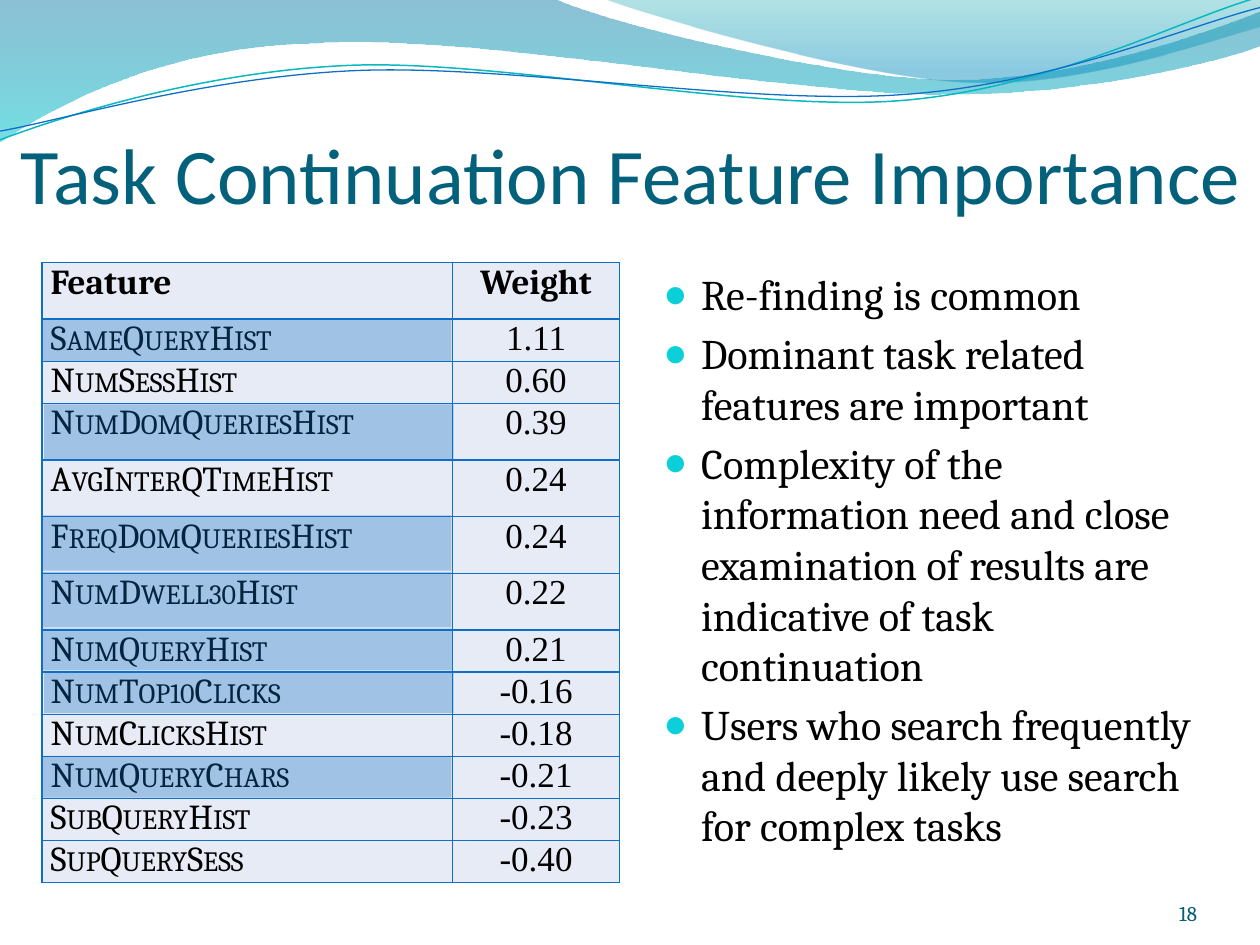
from dataclasses import dataclass

from lxml.etree import SubElement
from pptx import Presentation
from pptx.dml.color import RGBColor
from pptx.enum.shapes import MSO_SHAPE as Preset
from pptx.enum.text import MSO_ANCHOR as Anchor, PP_ALIGN as Align
from pptx.oxml.ns import qn
from pptx.util import Pt


@dataclass(frozen=True)
class Theme:
    """Colours, fonts and type sizes of the deck."""
    title_color: str = "04617B"
    text_color: str = "000000"
    number_color: str = "045D75"
    bullet_color: str = "0BD0D9"
    accent: str = "0F6FC6"
    teal: str = "0AB8BF"
    cell: str = "E7EBF5"
    heading_font: str = "Calibri"
    body_font: str = "Cambria"
    figure_font: str = "Times New Roman"
    title_size: float = 45
    body_size: float = 24.1
    table_size: float = 20
    number_size: float = 12


@dataclass(frozen=True)
class Box:
    """A region of the page, in points."""
    left: float
    top: float
    width: float
    height: float

    def lengths(self):
        """Return the four measures as lengths."""
        return [Pt(v) for v in (self.left, self.top, self.width, self.height)]


THEME = Theme()

# Outlines: a pair is a straight step, three pairs are a Bezier step.
# Gradients: position, colour, opacity in percent.
WAVE_FILLS = [
    ([[(0, 0)], [(316.8, -0.7)],
      [(342.7, 12.2), (478.1, 45.4), (545.8, 45.4)],
      [(614.2, 45.4), (689.8, 18.7), (720, 6.5)], [(720.7, 25.9)],
      [(707.8, 31.7), (626.4, 54.7), (537.1, 54)],
      [(447.8, 54), (275, 20.2), (185, 24.5)],
      [(92.9, 25.9), (33.1, 59.8), (-0.7, 81.4)]],
     [(0, "0074A1", 45), (1, "00C6CF", 55)]),
    ([[(344.9, -0.7)],
      [(366.5, 7.9), (491, 44.6), (553.7, 46.8)],
      [(616.3, 49.7), (691.9, 23), (720, 15.1)], [(720, 0)]],
     [(0, "00A1A9", 30), (0.8, "008BBF", 45)]),
]
WAVE_LINES = [
    ([[(0, 79.9)],
      [(34.6, 67), (113.8, 41), (199.4, 37.4)],
      [(284.4, 33.8), (427, 64.1), (513.4, 57.6)],
      [(599.8, 51.1), (675.4, 10.8), (718.6, -1.4)]], THEME.teal, 0.85),
    ([[(0, 74.9)],
      [(33.8, 69.1), (118.1, 43.9), (203.8, 40.3)],
      [(290.2, 36.7), (429.8, 60.5), (516.2, 54)],
      [(601.9, 48.2), (677.5, 15.1), (720, 4.3)]], THEME.accent, 0.75),
]
# Feature, weight, row height
FEATURES = [
    ("Feature", "Weight", 32.4), ("SameQueryHist", "1.11", 16),
    ("NumSessHist", "0.60", 16), ("NumDomQueriesHist", "0.39", 32.4),
    ("AvgInterQTimeHist", "0.24", 32.4), ("FreqDomQueriesHist", "0.24", 32.4),
    ("NumDwell30Hist", "0.22", 32.4), ("NumQueryHist", "0.21", 16),
    ("NumTop10Clicks", "-0.16", 16), ("NumClicksHist", "-0.18", 16),
    ("NumQueryChars", "-0.21", 16), ("SubQueryHist", "-0.23", 16),
    ("SupQuerySess", "-0.40", 16),
]
# Left and top within the table, height
HIGHLIGHTS = [
    (1.2, 81.1, 31.7), (0, 144.5, 31.7), (0.5, 209.3, 23.8), (0, 32.9, 23.8),
    (0, 282, 23.8), (1.2, 233.8, 23.8), (0, 176.9, 31.7),
]
FINDINGS = [
    "Re-finding is common",
    "Dominant task related features are important",
    "Complexity of the information need and close examination of results "
    "are indicative of task continuation",
    "Users who search frequently and deeply likely use search for complex tasks",
]


def rgb(color):
    """Turn a hex string into a colour."""
    return RGBColor.from_string(color)


def set_opacity(color_element, percent):
    """Make a colour element partly transparent."""
    SubElement(color_element, qn("a:alpha"), val=str(percent * 1000))


def style_para(para, font, size, color, align=Align.LEFT, bold=False):
    """Format a paragraph and its runs."""
    para.alignment = align
    for span in para.runs:
        span.font.name, span.font.size = font, Pt(size)
        span.font.bold, span.font.color.rgb = bold, rgb(color)


def add_text(page, box, lines, insets, anchor=Anchor.TOP):
    """Add a wrapping text box and return its paragraphs."""
    frame = page.shapes.add_textbox(*box.lengths()).text_frame
    frame.word_wrap, frame.vertical_anchor = True, anchor
    (frame.margin_left, frame.margin_top,
     frame.margin_right, frame.margin_bottom) = [Pt(v) for v in insets]
    frame.text = "\n".join(lines)
    return frame.paragraphs


def add_outline(page, box, steps, close):
    """Draw one outline of straight and Bezier steps from the corner of the box."""
    start, *rest = [(Pt(box.left + x), Pt(box.top + y)) for step in steps for x, y in step]
    builder = page.shapes.build_freeform(*start)
    builder.add_line_segments(rest, close=close)
    shape = builder.convert_to_shape()
    shape.shadow.inherit = False
    segments = iter(shape.element.spPr.findall(".//" + qn("a:lnTo")))
    for step in steps[1:]:
        first, *others = [next(segments) for _ in step]
        if others:
            first.tag = qn("a:cubicBezTo")
        for segment in others:
            first.append(segment[0])
            segment.getparent().remove(segment)
    return shape


def add_waves(page, box):
    """Draw the wavy banner."""
    for steps, stops in WAVE_FILLS:
        wave = add_outline(page, box, steps, True)
        wave.line.fill.background()
        wave.fill.gradient()
        wave.fill.gradient_angle = 270
        for stop, (position, color, opacity) in zip(wave.fill.gradient_stops, stops):
            stop.position, stop.color.rgb = position, rgb(color)
        colors = wave.element.spPr.findall(".//" + qn("a:gs") + "/" + qn("a:srgbClr"))
        for color, stop in zip(colors, stops):
            set_opacity(color, stop[2])
    for steps, color, width in WAVE_LINES:
        curve = add_outline(page, box, steps, False)
        curve.fill.background()
        curve.line.color.rgb, curve.line.width = rgb(color), Pt(width)


def add_title(page, box, text):
    """Write the page title."""
    para = add_text(page, box, [text], (0, 3.6, 0, 0), Anchor.BOTTOM)[0]
    style_para(para, THEME.heading_font, THEME.title_size, THEME.title_color)


def add_findings(page, box):
    """Write the bulleted findings."""
    for para in add_text(page, box, FINDINGS, (7.2, 3.6, 7.2, 3.6)):
        style_para(para, THEME.body_font, THEME.body_size, THEME.text_color)
        para.space_before = Pt(4.8)
        props = para._p.get_or_add_pPr()
        props.set("marL", str(Pt(21.6)))
        props.set("indent", str(-Pt(21.6)))
        SubElement(SubElement(props, qn("a:buClr")), qn("a:srgbClr"), val=THEME.bullet_color)
        SubElement(props, qn("a:buSzPct"), val="95000")
        SubElement(props, qn("a:buFont"), typeface=THEME.figure_font)
        SubElement(props, qn("a:buChar"), char="●")


def add_page_number(page, box, text):
    """Write the page number."""
    para = add_text(page, box, [text], (0, 0, 0, 0), Anchor.BOTTOM)[0]
    style_para(para, THEME.body_font, THEME.number_size, THEME.number_color, Align.RIGHT)


def fill_cell(cell, text, is_header, is_weight):
    """Write and format one table cell."""
    for side in ("a:lnL", "a:lnR", "a:lnT", "a:lnB"):
        border = SubElement(cell._tc.get_or_add_tcPr(), qn(side), w=str(Pt(1)))
        SubElement(SubElement(border, qn("a:solidFill")), qn("a:srgbClr"), val=THEME.accent)
    cell.fill.solid()
    cell.fill.fore_color.rgb = rgb(THEME.cell)
    cell.margin_left = cell.margin_right = Pt(5)
    cell.margin_top = cell.margin_bottom = 0
    cell.text_frame.text = text
    para = cell.text_frame.paragraphs[0]
    para.space_after = Pt(4)
    font = THEME.figure_font if is_weight and not is_header else THEME.body_font
    style_para(para, font, THEME.table_size, THEME.text_color,
               Align.CENTER if is_weight else Align.JUSTIFY, is_header)
    if not is_header and not is_weight:
        para.line_spacing = Pt(23)
        para.runs[0].font._element.set("cap", "small")


def add_features(page, box):
    """Build the feature table and its highlights."""
    table = page.shapes.add_table(len(FEATURES), 2, *box.lengths()).table
    table.first_row = table.horz_banding = False
    for column, width in zip(table.columns, (234.7, box.width - 234.7)):
        column.width = Pt(width)
    for index, (*texts, height) in enumerate(FEATURES):
        table.rows[index].height = Pt(height)
        for column, text in enumerate(texts):
            fill_cell(table.cell(index, column), text, index == 0, column == 1)
    for left, top, height in HIGHLIGHTS:
        area = Box(box.left + left, box.top + top, 234, height)
        band = page.shapes.add_shape(Preset.RECTANGLE, *area.lengths())
        band.shadow.inherit = False
        band.line.fill.background()
        band.fill.solid()
        band.fill.fore_color.rgb = rgb(THEME.accent)
        set_opacity(band.element.spPr.find(qn("a:solidFill"))[0], 33)


def build():
    """Build and save the deck."""
    deck = Presentation()
    deck.slide_width, deck.slide_height = Pt(720), Pt(540)
    page = deck.slides.add_slide(deck.slide_layouts[6])
    add_waves(page, Box(0, 0, 720, 82))
    add_title(page, Box(12, 36, 708, 90), "Task Continuation Feature Importance")
    add_findings(page, Box(372, 150, 324, 345.6))
    add_page_number(page, Box(624, 500.4, 60, 28.8), "18")
    add_features(page, Box(24, 150, 330, 353))
    deck.save("out.pptx")


build()
